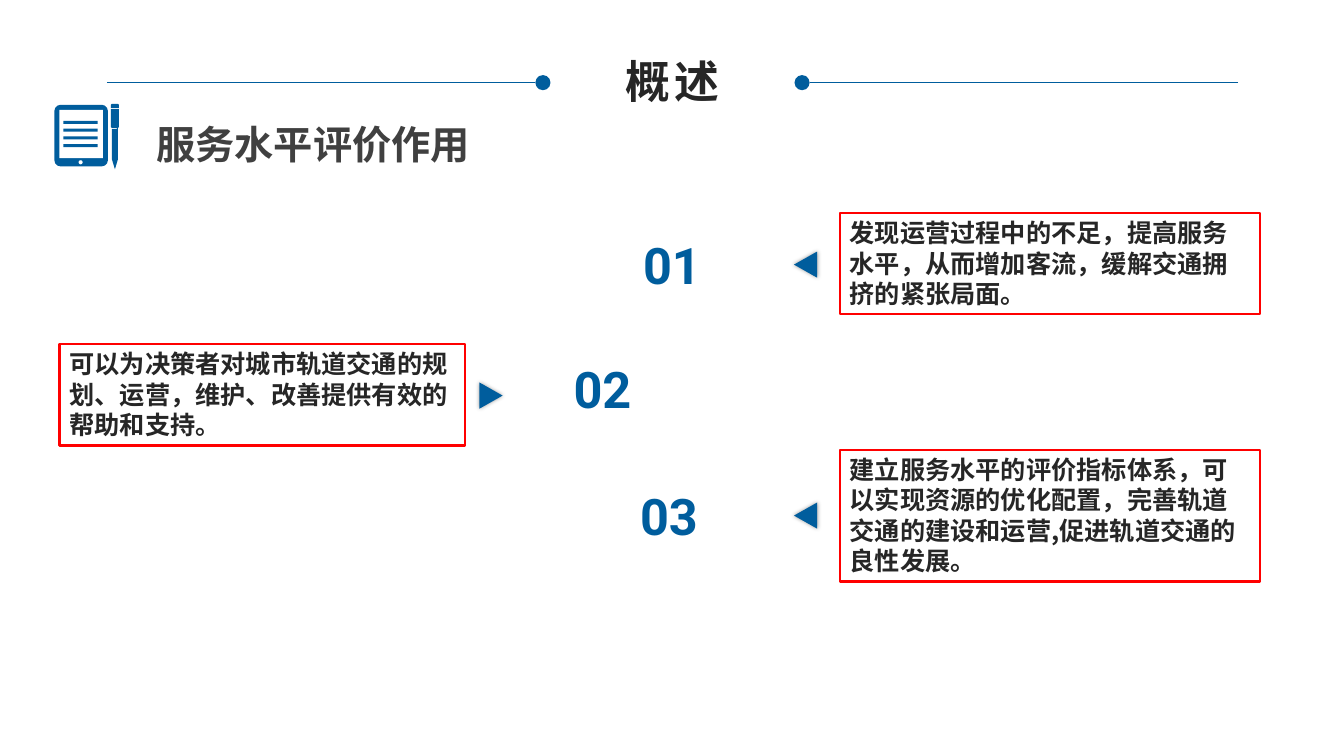
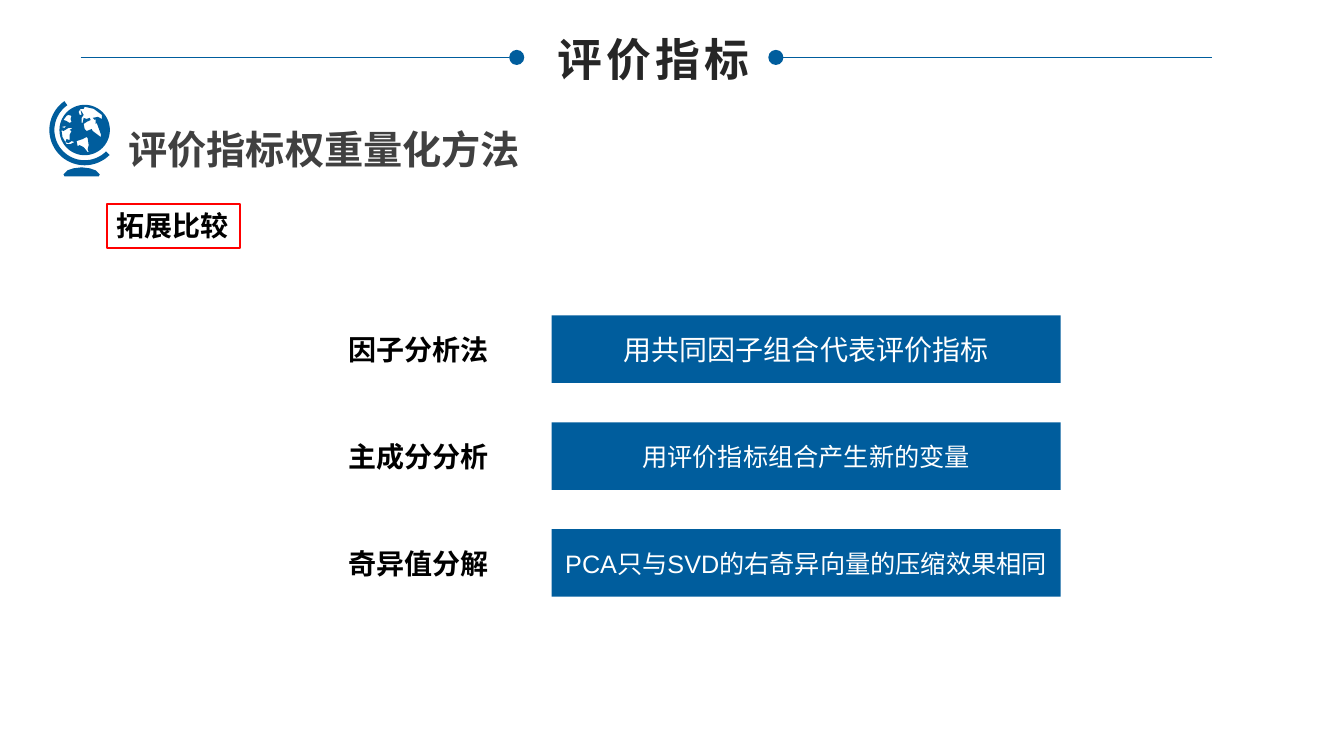
from dataclasses import dataclass
from math import cos, radians, sin

from lxml.etree import SubElement
from pptx import Presentation
from pptx.dml.color import RGBColor
from pptx.enum.shapes import MSO_CONNECTOR, MSO_SHAPE
from pptx.enum.text import MSO_ANCHOR, MSO_AUTO_SIZE, PP_ALIGN
from pptx.oxml.ns import qn
from pptx.util import Inches, Pt


@dataclass(frozen=True)
class Theme:
    blue: str = "005D9D"
    red: str = "FF0000"
    ink: str = "262626"
    grey: str = "404040"
    black: str = "000000"
    white: str = "FFFFFF"
    chinese: str = "Noto Sans CJK SC"
    latin: str = "Arial"
    digits: str = "Roboto"
    title: int = 32
    heading: int = 28
    number: int = 36
    label: int = 20
    body: int = 18


THEME = Theme()

# Content: text, then left, top, width, height in inches
ROLES = [
    {"number": "01", "number_box": (6.25, 2.27, 0.83, 0.71),
     "arrow": (7.86, 2.51), "points": "left", "box": (8.33, 2.11, 4.17, 1.01),
     "text": "发现运营过程中的不足，提高服务水平，从而增加客流，缓解交通拥挤的紧张局面。"},
    {"number": "02", "number_box": (5.55, 3.5, 0.85, 0.71),
     "arrow": (4.74, 3.81), "points": "right", "box": (0.59, 3.41, 4.02, 1.01),
     "text": "可以为决策者对城市轨道交通的规划、运营，维护、改善提供有效的帮助和支持。"},
    {"number": "03", "number_box": (6.21, 4.76, 0.85, 0.71),
     "arrow": (7.86, 5.0), "points": "left", "box": (8.33, 4.46, 4.17, 1.31),
     "text": "建立服务水平的评价指标体系，可以实现资源的优化配置，完善轨道交通的建设和运营,"
             "促进轨道交通的良性发展。"},
]
METHODS = [
    ("因子分析法", "用共同因子组合代表评价指标", THEME.label),
    ("主成分分析", "用评价指标组合产生新的变量", THEME.body),
    ("奇异值分解", "PCA只与SVD的右奇异向量的压缩效果相同", THEME.body),
]

# Icon outlines
PEN_CAP = [(1.1, 1.07), (1.1, 1.04), (1.11, 1.03), (1.17, 1.03), (1.18, 1.04), (1.18, 1.07)]
PEN_BODY = [(1.1, 1.08), (1.18, 1.08), (1.18, 1.26), (1.17, 1.27), (1.17, 1.58),
            (1.14, 1.68), (1.11, 1.58), (1.11, 1.28), (1.16, 1.28), (1.16, 1.27),
            (1.11, 1.27), (1.1, 1.26)]
GLOBE_BASE = [(0.64, 1.75), (0.63, 1.73), (0.67, 1.69), (0.73, 1.67), (0.81, 1.66),
              (0.89, 1.67), (0.95, 1.69), (0.99, 1.73), (0.98, 1.75)]
CONTINENTS = [
    [(0.79, 1.14), (0.81, 1.14), (0.8, 1.09), (0.83, 1.14), (0.81, 1.17), (0.81, 1.22),
     (0.82, 1.22), (0.83, 1.17), (0.86, 1.18), (0.89, 1.17), (0.9, 1.19), (0.86, 1.21),
     (0.83, 1.23), (0.84, 1.28), (0.86, 1.3), (0.91, 1.28), (0.92, 1.3), (1.0, 1.36),
     (1.0, 1.33), (0.96, 1.22), (0.95, 1.23), (0.95, 1.18), (0.94, 1.19), (0.92, 1.17),
     (0.97, 1.16), (1.01, 1.18), (1.01, 1.14), (0.93, 1.08), (0.84, 1.06), (0.83, 1.08),
     (0.8, 1.08), (0.78, 1.11)],
    [(0.76, 1.4), (0.77, 1.45), (0.79, 1.44), (0.83, 1.46), (0.87, 1.51), (0.88, 1.51),
     (0.87, 1.48), (0.88, 1.44), (0.87, 1.37), (0.86, 1.36), (0.82, 1.38)],
    [(0.69, 1.29), (0.72, 1.27), (0.68, 1.27), (0.63, 1.3), (0.61, 1.29), (0.62, 1.36),
     (0.66, 1.43), (0.7, 1.43), (0.74, 1.41), (0.71, 1.4), (0.68, 1.42), (0.65, 1.41),
     (0.66, 1.38), (0.69, 1.39), (0.69, 1.34), (0.71, 1.3)],
    [(0.66, 1.15), (0.63, 1.19), (0.66, 1.2), (0.69, 1.22), (0.71, 1.21), (0.7, 1.18),
     (0.71, 1.15), (0.68, 1.14)],
    [(0.61, 1.26), (0.64, 1.27), (0.66, 1.25)],
]


def inches(*values):
    return [Inches(value) for value in values]


def color(value):
    return RGBColor.from_string(value)


def write(shape, text, size, ink, font=THEME.chinese, bold=True,
          align=PP_ALIGN.LEFT, wrap=True, anchor=MSO_ANCHOR.TOP, spacing=None):
    frame = shape.text_frame
    frame.text = text
    frame.word_wrap = wrap
    frame.auto_size = MSO_AUTO_SIZE.NONE
    frame.vertical_anchor = anchor
    paragraph = frame.paragraphs[0]
    paragraph.alignment = align
    paragraph.font.size = Pt(size)
    paragraph.font.bold = bold
    paragraph.font.color.rgb = color(ink)
    paragraph.font.name = font
    properties = paragraph._p.get_or_add_pPr().get_or_add_defRPr()
    SubElement(properties, qn("a:ea")).set("typeface", THEME.chinese)
    if spacing:
        properties.set("spc", str(spacing * 100))


def add_text(slide, box, *args, outline=None, **options):
    shape = slide.shapes.add_textbox(*inches(*box))
    write(shape, *args, **options)
    if outline:
        shape.line.color.rgb = color(outline)
        shape.line.width = Pt(1.5)


def paint(shape, fill=THEME.blue):
    shape.shadow.inherit = False
    shape.fill.solid()
    shape.fill.fore_color.rgb = color(fill)
    shape.line.fill.background()
    return shape


def add_filled(slide, kind, box, fill=THEME.blue):
    return paint(slide.shapes.add_shape(kind, *inches(*box)), fill)


def add_outline(slide, *contours):
    """Fill closed contours; a contour inside another one is a hole."""
    builder = slide.shapes.build_freeform(*inches(*contours[0][0]))
    for index, contour in enumerate(contours):
        if index:
            builder.move_to(*inches(*contour[0]))
        builder.add_line_segments([inches(*point) for point in contour[1:]], close=True)
    paint(builder.convert_to_shape())


def arc(center, radius, start, end, step=5):
    """Points on a circle, clockwise from start to end in degrees."""
    return [(center[0] + radius * cos(radians(angle)), center[1] + radius * sin(radians(angle)))
            for angle in range(start, end + 1, step)]


def add_header(slide, title, title_box, left, y):
    """Title between two rules that each end in a dot."""
    placeholder = slide.shapes.title
    placeholder.left, placeholder.top, placeholder.width, placeholder.height = inches(*title_box)
    write(placeholder, title, THEME.title, THEME.ink, align=PP_ALIGN.CENTER,
          wrap=False, spacing=3)
    rule, dot, span = 4.25, 0.15, 11.22
    right = left + span
    for outer, inner, dot_left in ((left, left + rule, left + rule),
                                   (right, right - rule, right - rule - dot)):
        line = slide.shapes.add_connector(MSO_CONNECTOR.STRAIGHT, *inches(outer, y, inner, y))
        line.line.color.rgb = color(THEME.blue)
        line.line.width = Pt(0.25)
        SubElement(line._element.spPr, qn("a:effectLst"))
        add_filled(slide, MSO_SHAPE.OVAL, (dot_left, y - dot / 2, dot, dot))


def add_heading(slide, text, box):
    add_text(slide, box, text, THEME.heading, THEME.grey, align=PP_ALIGN.CENTER)


def add_arrow(slide, left, top, points):
    arrow = add_filled(slide, MSO_SHAPE.ISOSCELES_TRIANGLE, (left, top, 0.26, 0.23))
    arrow.rotation = 270 if points == "left" else 90
    effects = arrow._element.spPr.find(qn("a:effectLst"))
    shadow = SubElement(effects, qn("a:outerShdw"), blurRad=str(Pt(3)), dist="0")
    shade = SubElement(shadow, qn("a:srgbClr"), val=THEME.black)
    SubElement(shade, qn("a:alpha"), val="40000")


def add_tablet_icon(slide):
    tablet = add_filled(slide, MSO_SHAPE.ROUNDED_RECTANGLE, (0.54, 1.04, 0.53, 0.61))
    tablet.adjustments[0] = 0.11
    add_filled(slide, MSO_SHAPE.RECTANGLE, (0.59, 1.09, 0.43, 0.48), THEME.white)
    add_filled(slide, MSO_SHAPE.OVAL, (0.78, 1.59, 0.04, 0.04), THEME.white)
    for row in range(4):
        add_filled(slide, MSO_SHAPE.RECTANGLE, (0.63, 1.2 + row * 0.077, 0.34, 0.03))
    add_outline(slide, PEN_CAP)
    add_outline(slide, PEN_BODY)


def add_globe_icon(slide):
    center = (0.84, 1.29)
    add_outline(slide, arc(center, 0.25, 0, 355), *CONTINENTS)
    add_outline(slide, arc(center, 0.35, 45, 235) + arc(center, 0.3, 45, 235)[::-1])
    add_outline(slide, GLOBE_BASE)


def build_roles(slide):
    add_header(slide, "概述", (6.08, 0.48, 1.18, 0.64), 1.06, 0.82)
    add_tablet_icon(slide)
    add_heading(slide, "服务水平评价作用", (1.42, 1.14, 3.37, 0.57))
    for role in ROLES:
        add_text(slide, role["number_box"], role["number"], THEME.number, THEME.blue,
                 font=THEME.digits, align=PP_ALIGN.CENTER, wrap=False)
        add_arrow(slide, *role["arrow"], role["points"])
        add_text(slide, role["box"], role["text"], THEME.body, THEME.ink, outline=THEME.red)


def build_methods(slide):
    add_header(slide, "评价指标", (5.4, 0.26, 2.17, 0.64), 0.8, 0.57)
    add_globe_icon(slide)
    add_heading(slide, "评价指标权重量化方法", (1.12, 1.19, 4.19, 0.57))
    add_text(slide, (1.06, 2.02, 1.32, 0.44), "拓展比较", THEME.label, THEME.black,
             wrap=False, outline=THEME.red)
    for row, (name, meaning, size) in enumerate(METHODS):
        top = 3.13 + row * 1.06
        add_text(slide, (3.36, top + 0.12, 1.68, 0.44), name, THEME.label, THEME.black)
        bar = add_filled(slide, MSO_SHAPE.RECTANGLE, (5.47, top, 5.05, 0.67))
        write(bar, meaning, size, THEME.white, font=THEME.latin, bold=False,
              align=PP_ALIGN.CENTER, anchor=MSO_ANCHOR.MIDDLE)


def main():
    presentation = Presentation()
    presentation.slide_width, presentation.slide_height = inches(13.33, 7.5)
    title_only = presentation.slide_layouts[5]
    for build in (build_roles, build_methods):
        build(presentation.slides.add_slide(title_only))
    presentation.save("out.pptx")


if __name__ == "__main__":
    main()
